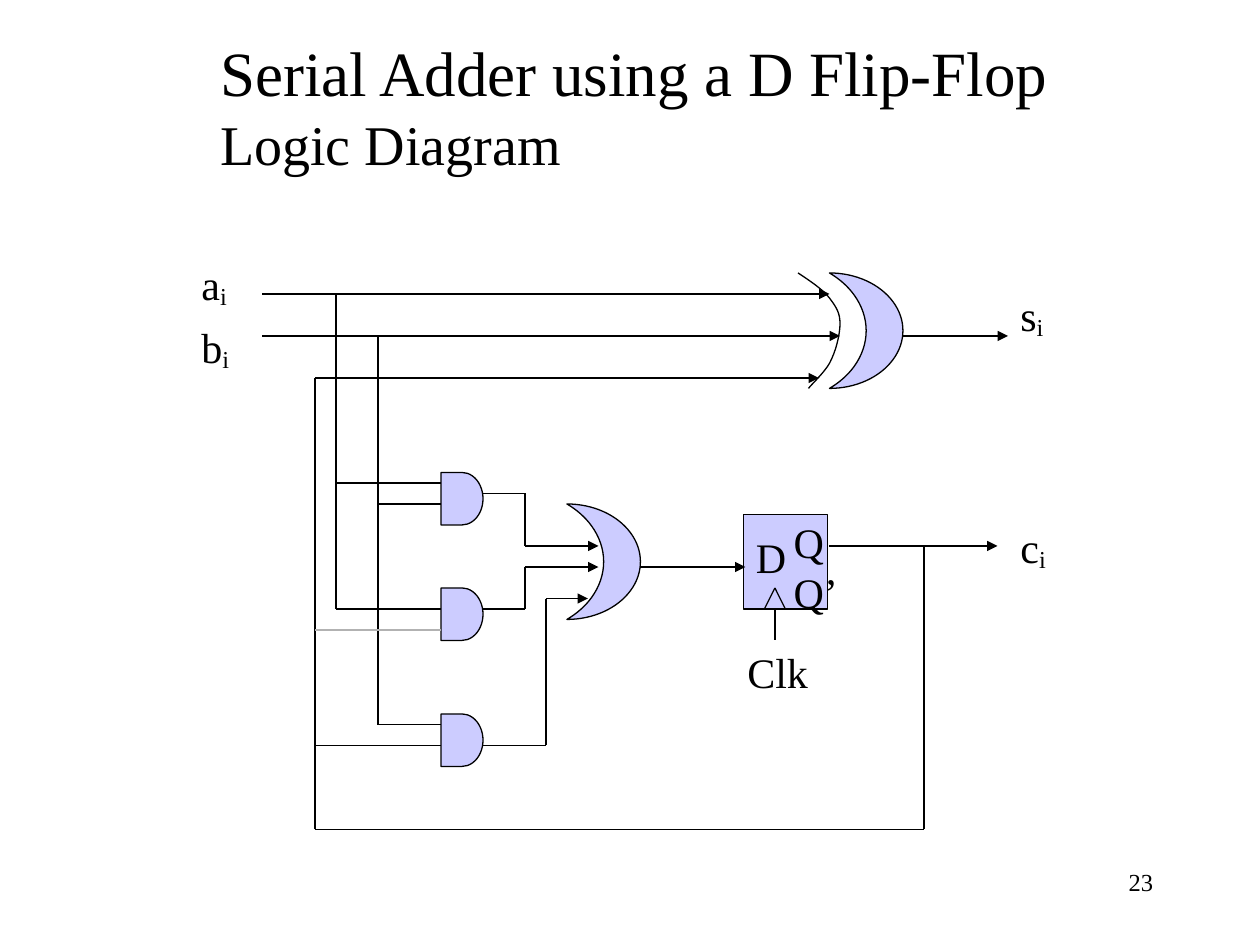
from lxml import etree
from pptx import Presentation
from pptx.dml.color import RGBColor
from pptx.enum.shapes import MSO_CONNECTOR, MSO_SHAPE
from pptx.enum.text import MSO_AUTO_SIZE, PP_ALIGN
from pptx.oxml.ns import qn
from pptx.util import Cm, Pt

BLACK = RGBColor(0x00, 0x00, 0x00)
GRAY = RGBColor(0xB2, 0xB2, 0xB2)
LILAC = RGBColor(0xCC, 0xCC, 0xFF)
FONT = "Times New Roman"
LINE_WIDTH = Pt(0.75)
STRAIGHT = MSO_CONNECTOR.STRAIGHT
RECT, MOON, DELAY = MSO_SHAPE.RECTANGLE, MSO_SHAPE.MOON, MSO_SHAPE.FLOWCHART_DELAY
LEFT, RIGHT = PP_ALIGN.LEFT, PP_ALIGN.RIGHT
GROW = MSO_AUTO_SIZE.SHAPE_TO_FIT_TEXT

GRID = 2.54 / 12
SUBSCRIPT = "-12000"

TITLE = [[("Serial Adder using a D Flip-Flop", 36, None)], [("Logic Diagram", 32, None)]]
TITLE_BOX = (19.8, 2.64, 81.6, 14.76)
PAGE_NUMBER = [[("23", 14, None)]]
PAGE_NUMBER_BOX = (86, 82, 25, 6)

LABELS = [
    (["D"], (70.8, 50, 5.3, 6)),
    (["Q", "Q’"], (74.4, 48.6, 6.6, 10.8)),
    (["Clk"], (70, 61, 8.2, 6)),
]
SIGNALS = [
    ("a", (18, 24, 5.2, 6)),
    ("b", (18, 30, 5.2, 6)),
    ("s", (96, 27, 4.7, 6)),
    ("c", (96, 49.1, 4.9, 6)),
]

GATES = [
    (RECT, (70.8, 49, 8, 9)),
    (MOON, (79, 26, 7, 11)),
    (MOON, (54, 48, 7, 11)),
] + [(DELAY, (42, top, 4, 5)) for top in (45, 56, 68)]

XOR_START = (76, 26)
XOR_CURVES = [
    ((77.2, 26.8), (78.4, 27.6), (79, 28.4)),
    ((79.7, 29.3), (80, 29.9), (80, 30.8)),
    ((80, 31.9), (79.6, 33.5), (79, 34.6)),
    ((78.5, 35.5), (77.3, 36.6), (77, 37)),
]
CURVE_STEPS = 8

ARROWS = [
    [(25, 28), (79, 28)],
    [(25, 32), (80, 32)],
    [(88, 52), (88, 79), (30, 79), (30, 36), (78, 36)],
    [(86, 32), (96, 32)],
    [(61, 54), (71, 54)],
    [(46, 47), (50, 47), (50, 52), (57, 52)],
    [(46, 58), (50, 58), (50, 54), (57, 54)],
    [(46, 71), (52, 71), (52, 57), (56, 57)],
    [(79, 52), (95, 52)],
]
WIRES = [
    [(72.8, 58), (73.8, 56), (74.8, 58)],
    [(73.8, 58), (73.8, 61)],
    [(32, 28), (32, 58), (42, 58)],
    [(32, 46), (42, 46)],
    [(36, 32), (36, 69), (42, 69)],
    [(36, 48), (42, 48)],
    [(30, 71), (42, 71)],
]
GRAY_WIRE = [(30, 60), (42, 60)]

prs = Presentation()
prs.slide_width, prs.slide_height = Cm(25.4), Cm(19.05)
s = prs.slides.add_slide(prs.slide_layouts[6])


def grid(*values):
    return [Cm(v * GRID) for v in values]


def add_text(paragraphs, box, align=LEFT, wrap=False, grow=True):
    tf = s.shapes.add_textbox(*grid(*box)).text_frame
    tf.word_wrap = wrap
    if grow:
        tf.auto_size = GROW
    for i, runs in enumerate(paragraphs):
        p = tf.paragraphs[0] if i == 0 else tf.add_paragraph()
        p.alignment = align
        for text, size, baseline in runs:
            r = p.add_run()
            r.text = text
            r.font.name, r.font.size = FONT, Pt(size)
            r.font.color.rgb = BLACK
            if baseline:
                r.font._element.set("baseline", baseline)


def outline(sp, color=BLACK):
    sp.line.color.rgb = color
    sp.line.width = LINE_WIDTH


def add_gate(kind, box):
    sp = s.shapes.add_shape(kind, *grid(*box))
    sp.shadow.inherit = False
    sp.fill.solid()
    sp.fill.fore_color.rgb = LILAC
    outline(sp)
    if kind == MOON:
        sp._element.spPr.find(qn("a:xfrm")).set("flipH", "1")


def add_wire(points, color=BLACK, arrow=False):
    for start, end in zip(points, points[1:]):
        sp = s.shapes.add_connector(STRAIGHT, *grid(*start, *end))
        outline(sp, color)
        if arrow and end == points[-1]:
            etree.SubElement(sp.line._get_or_add_ln(), qn("a:tailEnd"), type="triangle")
        etree.SubElement(sp._element.spPr, qn("a:effectLst"))


def bezier(a, b, c, d, t):
    u = 1 - t
    return [u**3 * i + 3 * u * u * t * j + 3 * u * t * t * k + t**3 * m
            for i, j, k, m in zip(a, b, c, d)]


def add_curve(start, curves):
    points, last = [], start
    for curve in curves:
        points += [grid(*bezier(last, *curve, n / CURVE_STEPS)) for n in range(1, CURVE_STEPS + 1)]
        last = curve[-1]
    builder = s.shapes.build_freeform(*grid(*start))
    builder.add_line_segments(points, close=False)
    sp = builder.convert_to_shape()
    sp.shadow.inherit = False
    sp.fill.background()
    outline(sp)


add_text(PAGE_NUMBER, PAGE_NUMBER_BOX, RIGHT, wrap=True, grow=False)
for kind, box in GATES:
    add_gate(kind, box)
add_curve(XOR_START, XOR_CURVES)
for points in ARROWS:
    add_wire(points, arrow=True)
for points in WIRES:
    add_wire(points)
add_wire(GRAY_WIRE, GRAY)
for lines, box in LABELS:
    add_text([[(line, 24, None)] for line in lines], box)
for letter, box in SIGNALS:
    add_text([[(letter, 24, None), ("i", 24, SUBSCRIPT)]], box)
add_text(TITLE, TITLE_BOX)

prs.save("out.pptx")
